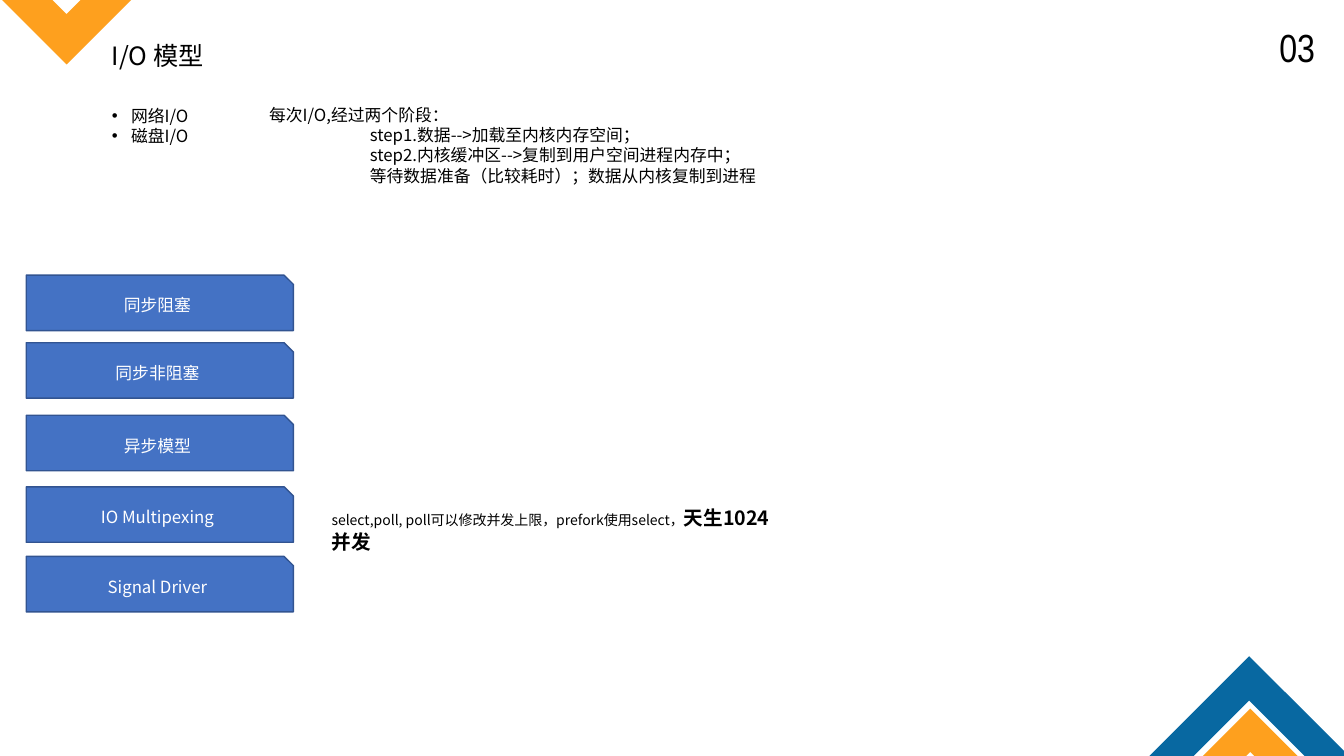
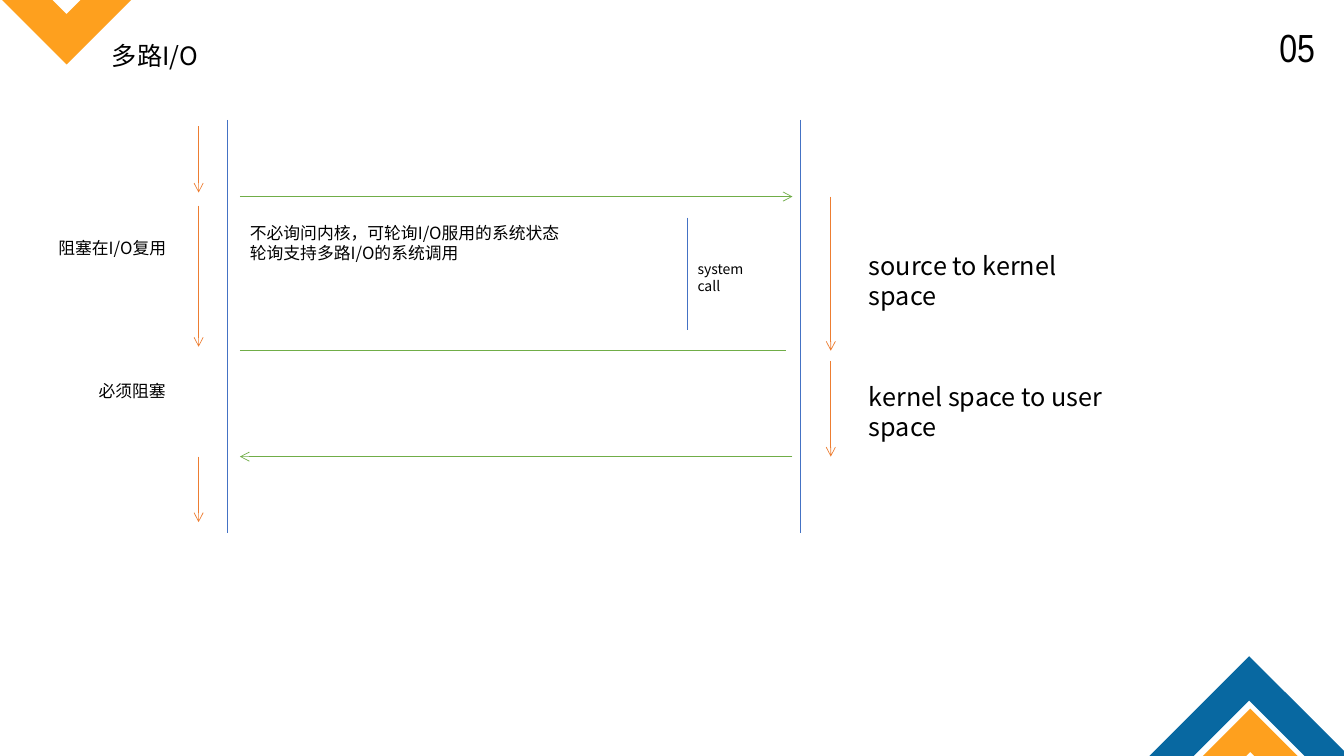
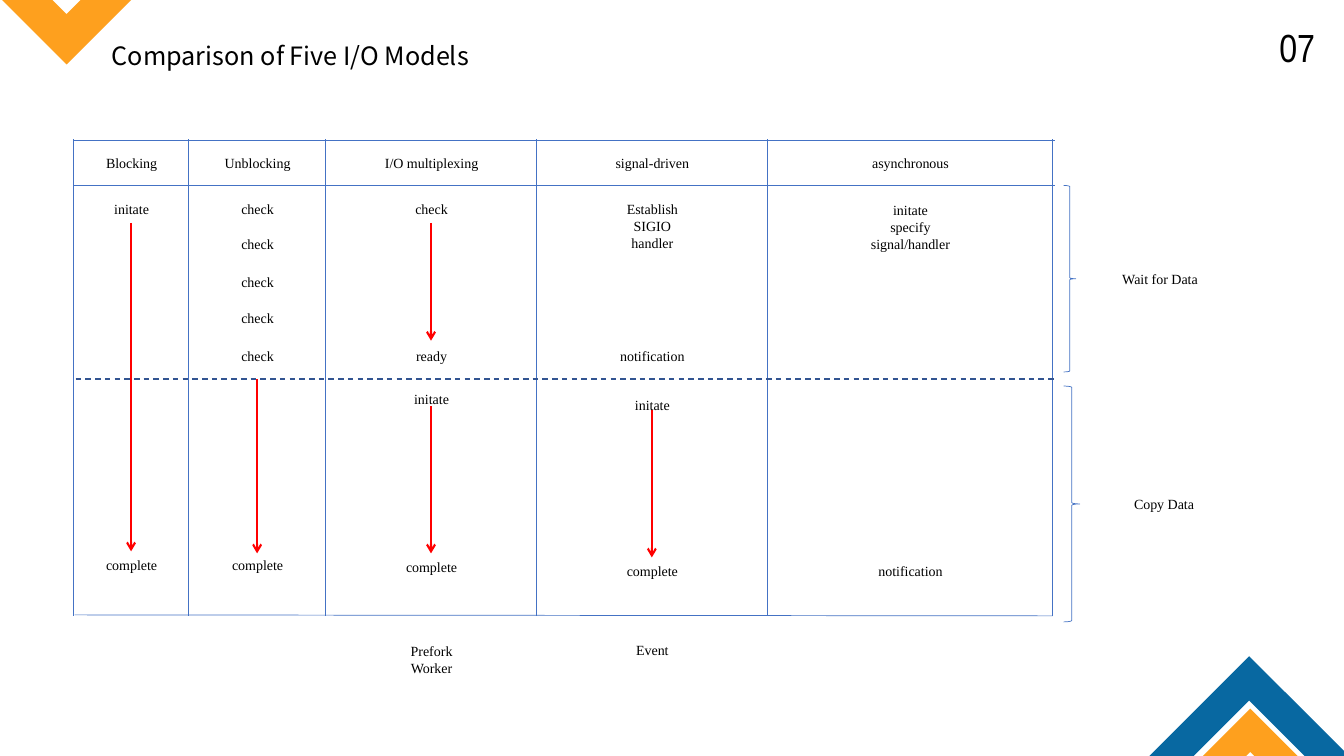
"""Build three slides on I/O models."""
from dataclasses import dataclass
from typing import Any, NamedTuple

from pptx import Presentation
from pptx.dml.color import RGBColor
from pptx.enum.dml import MSO_LINE
from pptx.enum.shapes import MSO_CONNECTOR, MSO_SHAPE
from pptx.enum.text import MSO_ANCHOR, MSO_AUTO_SIZE, PP_ALIGN
from pptx.oxml.ns import qn
from pptx.util import Inches, Pt

BLACK = RGBColor(0x00, 0x00, 0x00)
WHITE = RGBColor(0xFF, 0xFF, 0xFF)
GOLD = RGBColor(0xFE, 0xA0, 0x1E)
TEAL = RGBColor(0x08, 0x68, 0xA1)
BLUE = RGBColor(0x44, 0x72, 0xC4)
NAVY = RGBColor(0x32, 0x54, 0x91)
RUST = RGBColor(0xED, 0x7D, 0x31)
GREEN = RGBColor(0x70, 0xAD, 0x47)
RED = RGBColor(0xFF, 0x00, 0x00)
LEFT, CENTER = PP_ALIGN.LEFT, PP_ALIGN.CENTER
TOP, MIDDLE = MSO_ANCHOR.TOP, MSO_ANCHOR.MIDDLE
FIXED, DASH = MSO_AUTO_SIZE.NONE, MSO_LINE.DASH
STRAIGHT = MSO_CONNECTOR.STRAIGHT
SNIP, BRACE = MSO_SHAPE.SNIP_1_RECTANGLE, MSO_SHAPE.RIGHT_BRACE
SANS, SERIF, SLIM = "Noto Sans CJK SC", "Times New Roman", "Arial Narrow"

TITLE = {"name": SANS, "size": Pt(18), "bold": False}
BODY = {"name": SANS, "size": Pt(12)}
SMALL = {"name": SANS, "size": Pt(10)}
STRONG = {"name": SANS, "size": Pt(14), "bold": True}
CELL = {"name": SERIF, "size": Pt(10)}
PAGE = {"name": SLIM, "size": Pt(28)}
FRAME = {"word_wrap": True, "auto_size": FIXED, "vertical_anchor": TOP}

Point = tuple[float, float]


class Band(NamedTuple):
    """A filled corner band."""
    color: RGBColor
    points: list[Point]


class Line(NamedTuple):
    """A straight line, with or without an arrowhead."""
    start: Point
    end: Point
    color: RGBColor = BLUE
    width: float = 0.5
    head: bool = False
    dash: bool = False


class Note(NamedTuple):
    """A block of text at a place."""
    box: tuple[float, float, float, float]
    text: str
    style: dict[str, Any] = BODY
    align: PP_ALIGN = LEFT


@dataclass
class Model:
    """One column of the comparison."""
    name: str
    steps: list[tuple[float, str]]
    spans: list[Point]


BANDS = [
    Band(GOLD, [(0.02, 0), (0.52, 0), (0.66, 0.14), (0.8, 0), (1.3, 0), (0.66, 0.64)]),
    Band(GOLD, [(11.93, 7.5), (12.4, 7.03), (12.87, 7.5), (12.44, 7.5),
                (12.4, 7.46), (12.36, 7.5)]),
    Band(TEAL, [(11.4, 7.5), (12.39, 6.51), (13.33, 7.45), (13.33, 7.5),
                (12.94, 7.5), (12.39, 6.95), (11.84, 7.5)]),
]
KINDS = [(2.73, "同步阻塞"), (3.4, "同步非阻塞"), (4.12, "异步模型"),
         (4.83, "IO Multipexing"), (5.52, "Signal Driver")]
EDGES = [0.73, 1.87, 3.23, 5.32, 7.61, 10.44]
MODELS = [
    Model("Blocking", [(1.94, "initate"), (5.47, "complete")], [(2.21, 5.47)]),
    Model("Unblocking",
          [(y, "check") for y in (1.94, 2.29, 2.66, 3.02, 3.4)] + [(5.47, "complete")],
          [(3.76, 5.49)]),
    Model("I/O multiplexing",
          [(1.94, "check"), (3.4, "ready"), (3.83, "initate"), (5.49, "complete"),
           (6.33, "Prefork\nWorker")], [(2.21, 3.38), (4.03, 5.49)]),
    Model("signal-driven",
          [(1.94, "Establish\nSIGIO\nhandler"), (3.4, "notification"),
           (3.88, "initate"), (5.53, "complete"), (6.32, "Event")], [(4.07, 5.53)]),
    Model("asynchronous",
          [(1.95, "initate\nspecify\nsignal/handler"), (5.53, "notification")], []),
]


def put(item: Any, values: dict[str, Any]) -> None:
    """Set each value on the item."""
    for key, value in values.items():
        setattr(item, key, value)


def ink(run: Any, style: dict[str, Any], color: RGBColor = BLACK) -> None:
    """Format a run, East Asian font included."""
    run.font.color.rgb = color
    put(run.font, style)
    east = run._r.get_or_add_rPr().makeelement(qn("a:ea"), {"typeface": style["name"]})
    run._r.get_or_add_rPr().append(east)


def write(shape: Any, text: str, style: dict[str, Any], align: PP_ALIGN = LEFT,
          color: RGBColor = BLACK) -> Any:
    """Fill a shape with text, a paragraph a line."""
    frame = shape.text_frame
    put(frame, FRAME)
    frame.text = text
    for para in frame.paragraphs:
        put(para, {"alignment": align, "space_before": Pt(0)})
        ink(para.runs[0], style, color)
    return frame


def place(shape: Any, box: tuple[float, float, float, float]) -> None:
    """Move and size a shape."""
    put(shape, dict(zip(("left", "top", "width", "height"), map(Inches, box))))


def draw_note(slide: Any, note: Note) -> Any:
    """Add a text box."""
    shape = slide.shapes.add_textbox(*map(Inches, note.box))
    return write(shape, note.text, note.style, note.align)


def draw_line(slide: Any, line: Line) -> None:
    """Add a connector."""
    link = slide.shapes.add_connector(STRAIGHT, *map(Inches, line.start + line.end))
    link.line.color.rgb = line.color
    link.line.width = Pt(line.width)
    if line.dash:
        link.line.dash_style = DASH
    props = link._element.spPr
    if line.head:
        stroke = link.line._get_or_add_ln()
        stroke.append(stroke.makeelement(qn("a:tailEnd"), {"type": "arrow"}))
    props.append(props.makeelement(qn("a:effectLst"), {}))


def draw_band(slide: Any, band: Band) -> None:
    """Add a corner band."""
    first, *rest = [(Inches(x), Inches(y)) for x, y in band.points]
    pen = slide.shapes.build_freeform(*first)
    pen.add_line_segments(rest, close=True)
    shape = pen.convert_to_shape()
    shape.shadow.inherit = False
    shape.fill.solid()
    shape.fill.fore_color.rgb = band.color
    shape.line.fill.background()


def start(deck: Any, kind: int, title: str, width: float, page: str) -> Any:
    """Add a slide with bands, title and page number."""
    slide = deck.slides.add_slide(deck.slide_layouts[kind])
    for band in BANDS:
        draw_band(slide, band)
    place(slide.shapes.title, (1.01, 0.35, width, 0.4))
    write(slide.shapes.title, title, TITLE)
    draw_note(slide, Note((12.51, 0.18, 0.71, 0.57), page, PAGE, CENTER))
    return slide


def draw_kinds(deck: Any) -> None:
    """Build the slide on kinds of I/O."""
    slide = start(deck, 1, "I/O 模型", 1.16, "03")
    body = slide.placeholders[1]
    place(body, (1.01, 1, 1.23, 0.71))
    for para in write(body, "网络I/O\n磁盘I/O", BODY).paragraphs:
        props = para._p.get_or_add_pPr()
        props.set("marL", str(Inches(0.19)))
        props.set("indent", str(Inches(-0.19)))
    for top, name in KINDS:
        shape = slide.shapes.add_shape(SNIP, *map(Inches, (0.26, top, 2.65, 0.55)))
        shape.shadow.inherit = False
        shape.fill.solid()
        shape.fill.fore_color.rgb = BLUE
        shape.line.color.rgb = NAVY
        shape.line.width = Pt(1)
        write(shape, name, BODY, CENTER, WHITE).vertical_anchor = MIDDLE
    steps = draw_note(slide, Note(
        (2.57, 0.99, 7.21, 1.11),
        "每次I/O,经过两个阶段：\nstep1.数据-->加载至内核内存空间；\n"
        "step2.内核缓冲区-->复制到用户空间进程内存中；\n"
        "等待数据准备（比较耗时）；数据从内核复制到进程"))
    for para in steps.paragraphs[1:]:
        para._p.get_or_add_pPr().set("marL", str(Inches(1)))
    limit = draw_note(slide, Note(
        (3.19, 4.97, 4.73, 0.34),
        "select,poll, poll可以修改并发上限，prefork使用select，", SMALL))
    run = limit.paragraphs[0].add_run()
    run.text = "天生1024并发"
    ink(run, STRONG)


def draw_flow(deck: Any) -> None:
    """Build the slide on multiplexed I/O."""
    slide = start(deck, 5, "多路I/O", 1.08, "05")
    lines = [Line((x, 1.19), (x, 5.29)) for x in (2.25, 7.94)]
    spans = [(8.24, 3.58, 4.53), (8.24, 1.95, 3.48),
             (1.97, 1.25, 1.91), (1.97, 2.04, 3.44), (1.97, 4.53, 5.18)]
    lines += [Line((x, top), (x, end), RUST, head=True) for x, top, end in spans]
    lines += [
        Line((2.38, 1.95), (7.86, 1.95), GREEN, head=True),
        Line((7.86, 4.53), (2.38, 4.53), GREEN, head=True),
        Line((2.38, 3.48), (7.8, 3.48), GREEN),
        Line((6.82, 2.16), (6.82, 3.27)),
    ]
    for line in lines:
        draw_line(slide, line)
    for note in (
        Note((8.52, 2.43, 2.6, 0.4), "source to kernel space", TITLE),
        Note((8.52, 3.73, 3.03, 0.4), "kernel space to user space", TITLE),
        Note((2.38, 2.16, 3.32, 0.5),
             "不必询问内核，可轮询I/O服用的系统状态\n轮询支持多路I/O的系统调用"),
        Note((0.48, 2.31, 1.32, 0.3), "阻塞在I/O复用"),
        Note((0.88, 3.73, 0.87, 0.3), "必须阻塞"),
        Note((6.82, 2.54, 0.84, 0.27), "system call", SMALL),
    ):
        draw_note(slide, note)


def draw_grid(deck: Any) -> None:
    """Build the slide that compares the models."""
    slide = start(deck, 5, "Comparison of Five I/O Models", 3.92, "07")
    lines = [Line((0.73, y), (10.46, y)) for y in (1.39, 1.84)]
    lines += [Line((x, 1.38), (x, 6.11)) for x in EDGES]
    lines += [Line((0.74, 6.1), (10.44, 6.11)),
              Line((0.75, 3.76), (10.46, 3.76), NAVY, 1, dash=True)]
    notes = [(11.5, 2.63, "Wait for Data"), (11.54, 4.87, "Copy Data")]
    for left, right, model in zip(EDGES, EDGES[1:], MODELS):
        mid = (left + right) / 2
        notes += [(mid, y, text) for y, text in [(1.48, model.name), *model.steps]]
        lines += [Line((mid, top), (mid, end), RED, 1.5, head=True)
                  for top, end in model.spans]
    for line in lines:
        draw_line(slide, line)
    for mid, top, text in notes:
        high = 0.27 + 0.17 * text.count("\n")
        draw_note(slide, Note((mid - 0.67, top, 1.35, high), text, CELL, CENTER))
    for box in ((10.55, 1.84, 0.12, 1.85), (10.55, 3.83, 0.16, 2.34)):
        brace = slide.shapes.add_shape(BRACE, *map(Inches, box))
        brace.shadow.inherit = False
        brace.fill.background()
        brace.line.color.rgb = BLUE
        brace.line.width = Pt(0.5)


def main() -> None:
    """Build and save the deck."""
    deck = Presentation()
    put(deck, {"slide_width": Inches(13.33), "slide_height": Inches(7.5)})
    for draw in (draw_kinds, draw_flow, draw_grid):
        draw(deck)
    deck.save("out.pptx")


if __name__ == "__main__":
    main()
